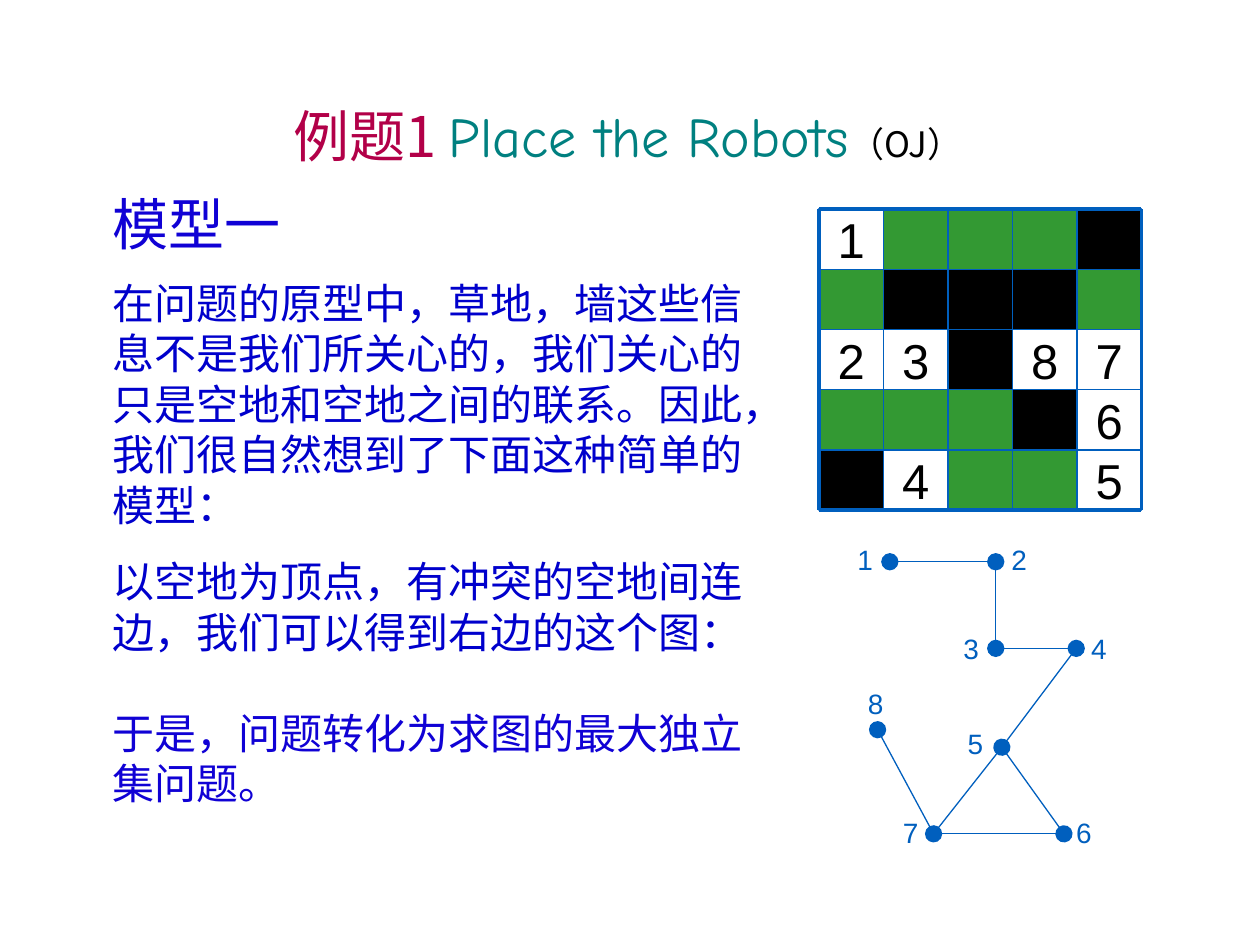
import pptx
import pptx.util
import pptx.dml.color
import pptx.enum.shapes
import pptx.enum.text
import pptx.oxml.ns
import lxml.etree

Pt = pptx.util.Pt
ANCHOR = pptx.enum.text.MSO_ANCHOR
ALIGN = pptx.enum.text.PP_ALIGN
SHAPE = pptx.enum.shapes.MSO_SHAPE
STRAIGHT = pptx.enum.shapes.MSO_CONNECTOR.STRAIGHT
qn = pptx.oxml.ns.qn

COLORS = {
    "heading": "B20048",
    "problem": "008080",
    "black": "000000",
    "model": "1001D5",
    "body": "0000CC",
    "edge": "005FBE",
    "grass": "339933",
    "empty": "FFFFFF",
}
CJK = "Noto Sans CJK SC"
GRID_LEFT, GRID_TOP = 468, 119.5
CELL_WIDTH, CELL_HEIGHT = 36.86, 34.4
GRID = ["1ggg#", "g###g", "23#87", "ggg#6", "#4gg5"]
TERRAIN = {"g": "grass", "#": "black"}
VERTICES = {
    "1": (508.5, 321), "2": (569, 321), "3": (569, 370.5), "4": (615, 370.5),
    "5": (572.5, 427), "6": (608, 476.5), "7": (533.5, 476.5), "8": (501.5, 417),
}
LABELS = {
    "1": (490, 310), "2": (578, 310), "3": (550.5, 361), "4": (623.5, 361),
    "5": (553, 415), "6": (615, 466), "7": (516, 466), "8": (496, 392),
}
DOTTED_EDGES = ["12", "34", "56", "78"]
PLAIN_EDGES = ["23", "45", "57", "67"]


def rgb(name):
    return pptx.dml.color.RGBColor.from_string(COLORS[name])


def apply(target, values):
    for name, value in values.items():
        setattr(target, name, value)


def format_frame(frame, margins=(7.2, 3.6), **values):
    across, down = margins
    apply(frame, {
        "margin_left": Pt(across), "margin_right": Pt(across),
        "margin_top": Pt(down), "margin_bottom": Pt(down),
        "word_wrap": True, **values,
    })


def add_run(paragraph, text, size, font, color):
    run = paragraph.add_run()
    run.text = text
    apply(run.font, {"size": Pt(size), "name": font})
    run.font.color.rgb = rgb(color)
    east_asian = lxml.etree.SubElement(run.font._element, qn("a:ea"))
    east_asian.set("typeface", CJK)


def place(shape, left, top, width, height):
    apply(shape, {"left": Pt(left), "top": Pt(top),
                  "width": Pt(width), "height": Pt(height)})


def write_title(title):
    place(title, 22.5, 54, 672.5, 46)
    format_frame(title.text_frame, vertical_anchor=ANCHOR.MIDDLE)
    heading = title.text_frame.paragraphs[0]
    heading.alignment = ALIGN.CENTER
    add_run(heading, "例题1 ", 32, CJK, "heading")
    add_run(heading, "Place the Robots", 32, "Comic Neue", "problem")
    add_run(heading, "（OJ）", 20, CJK, "black")


def add_passage(shapes, box, texts, size, font, color, before):
    frame = shapes.add_textbox(*map(Pt, box)).text_frame
    format_frame(frame)
    for index, text in enumerate(texts):
        paragraph = frame.add_paragraph() if index else frame.paragraphs[0]
        apply(paragraph, {"space_before": Pt(before if index else 0),
                          "line_spacing": Pt(size * 1.2)})
        add_run(paragraph, text, size, font, color)


def add_line(shapes, start, end, weight, dotted=False):
    line = shapes.add_connector(STRAIGHT, *map(Pt, (*start, *end)))
    line.line.width = Pt(weight)
    line.line.color.rgb = rgb("edge")
    if dotted:
        outline = line.line._get_or_add_ln()
        for end_tag in ("a:headEnd", "a:tailEnd"):
            dot = lxml.etree.SubElement(outline, qn(end_tag))
            for key, value in {"type": "oval", "w": "lg", "len": "lg"}.items():
                dot.set(key, value)
    lxml.etree.SubElement(line._element.spPr, qn("a:effectLst"))


def add_cell(shapes, column, row, mark):
    cell = shapes.add_shape(
        SHAPE.RECTANGLE,
        Pt(GRID_LEFT + column * CELL_WIDTH), Pt(GRID_TOP + row * CELL_HEIGHT),
        Pt(CELL_WIDTH), Pt(CELL_HEIGHT))
    cell.shadow.inherit = False
    cell.fill.solid()
    cell.fill.fore_color.rgb = rgb(TERRAIN.get(mark, "empty"))
    cell.line.color.rgb = rgb("edge")
    cell.line.width = Pt(0.75)
    if mark.isdigit():
        format_frame(cell.text_frame, (0, 0), vertical_anchor=ANCHOR.MIDDLE)
        number = cell.text_frame.paragraphs[0]
        apply(number, {"alignment": ALIGN.CENTER, "space_before": Pt(7)})
        add_run(number, mark, 28, "Arial", "black")


def add_grid(shapes):
    for row, marks in enumerate(GRID):
        for column, mark in enumerate(marks):
            add_cell(shapes, column, row, mark)
    right = GRID_LEFT + len(GRID[0]) * CELL_WIDTH
    bottom = GRID_TOP + len(GRID) * CELL_HEIGHT
    for y in (GRID_TOP, bottom):
        add_line(shapes, (GRID_LEFT, y), (right, y), 2.25)
    for x in (GRID_LEFT, right):
        add_line(shapes, (x, GRID_TOP), (x, bottom), 2.25)


def add_graph(shapes):
    for edge in DOTTED_EDGES + PLAIN_EDGES:
        start, end = (VERTICES[vertex] for vertex in edge)
        add_line(shapes, start, end, 0.75, edge in DOTTED_EDGES)
    for vertex, (left, top) in LABELS.items():
        frame = shapes.add_textbox(Pt(left), Pt(top), Pt(11.5), Pt(19.5)).text_frame
        format_frame(frame, (0, 0), vertical_anchor=ANCHOR.MIDDLE)
        add_run(frame.paragraphs[0], vertex, 16, "Arial", "edge")


def main():
    deck = pptx.Presentation()
    apply(deck, {"slide_width": Pt(720), "slide_height": Pt(540)})
    slide = deck.slides.add_slide(deck.slide_layouts[5])
    shapes = slide.shapes
    write_title(shapes.title)
    add_passage(shapes, (57, 105, 348.5, 46), ["模型一"], 32, CJK, "model", 8)
    add_grid(shapes.add_group_shape().shapes)
    add_graph(shapes.add_group_shape().shapes)
    add_passage(shapes, (57, 400.5, 377.5, 65),
                ["于是，问题转化为求图的最大独立集问题。"], 24, "Arial", "model", 15)
    add_passage(shapes, (57, 155, 377.5, 224), [
        "在问题的原型中，草地，墙这些信息不是我们所关心的，我们关心的只是空地和空地之间的联系。"
        "因此，我们很自然想到了下面这种简单的模型：",
        "以空地为顶点，有冲突的空地间连边，我们可以得到右边的这个图：",
    ], 24, "Arial", "body", 15)
    deck.save("out.pptx")


if __name__ == "__main__":
    main()
